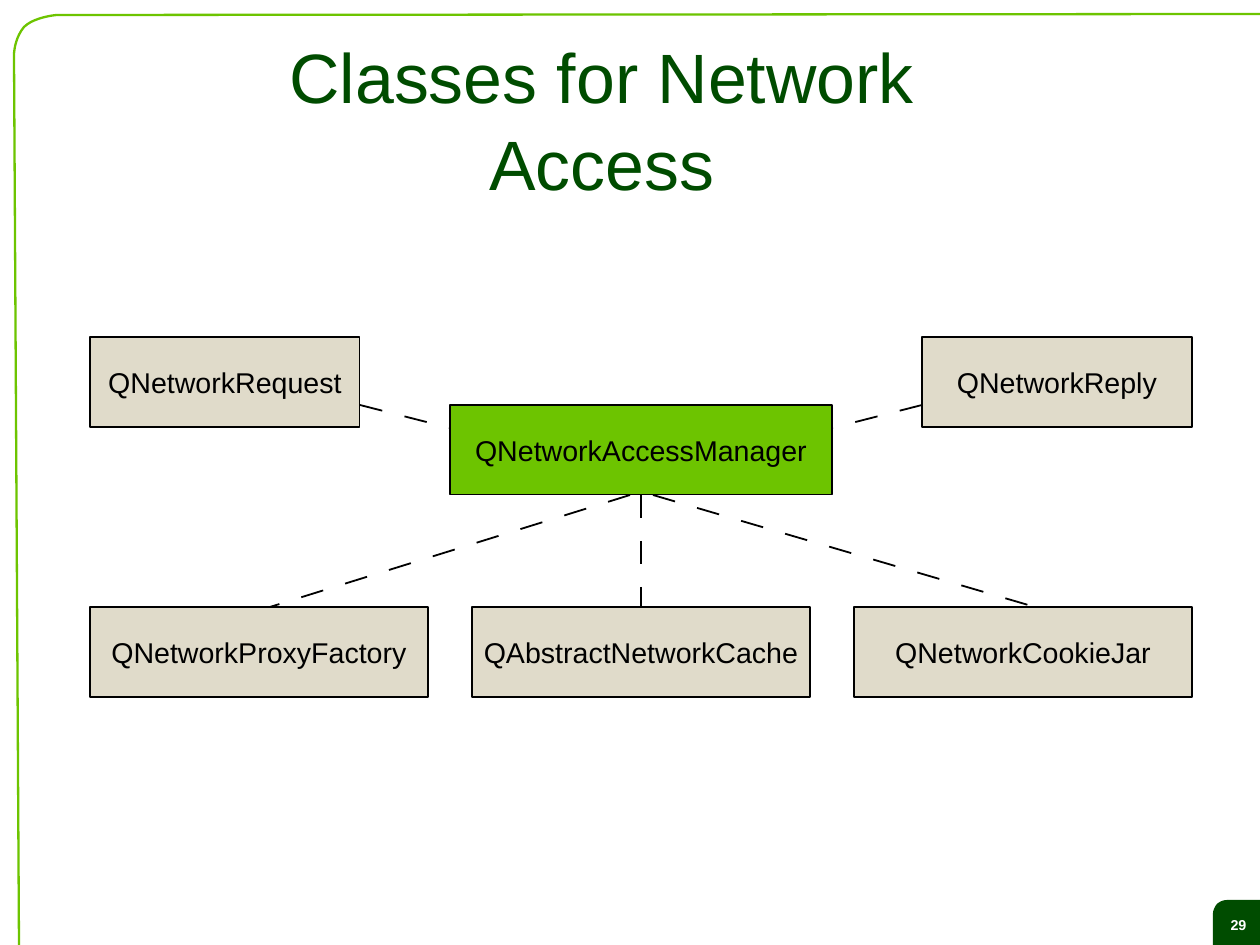
from lxml import etree
from pptx import Presentation
from pptx import util as u
from pptx.dml.color import RGBColor
from pptx.enum import shapes, text
from pptx.oxml.ns import qn

PX = 8000  # EMU in one px
WIDTH, HEIGHT = 1260, 945
COLORS = {"dark": "004C00", "green": "6DC400", "beige": "E0DBCA",
          "black": "000000", "white": "FFFFFF"}
DASH = "1275000"  # dash and gap, in thousandths of a percent of line width


def px(*lengths):
    return [u.Emu(length * PX) for length in lengths]


def color(name):
    return RGBColor.from_string(COLORS[name])


def write(part, words, size, ink="black", bold=False, insets=(11, 6, 11, 6),
          spacing=1.0, wrap=True):
    frame = part.text_frame
    frame.text = words
    frame.word_wrap = wrap
    frame.auto_size = text.MSO_AUTO_SIZE.NONE
    frame.vertical_anchor = text.MSO_ANCHOR.MIDDLE
    (frame.margin_left, frame.margin_top,
     frame.margin_right, frame.margin_bottom) = px(*insets)
    paragraph = frame.paragraphs[0]
    paragraph.alignment = text.PP_ALIGN.CENTER
    paragraph.line_spacing = spacing
    font = paragraph.runs[0].font
    font.name, font.size, font.bold = "Arial", u.Pt(size), bold
    font.color.rgb = color(ink)


def curve(p0, p1, p2, p3, steps=10):
    """Points along a cubic Bezier curve."""
    points = []
    for i in range(steps + 1):
        t = i / steps
        weights = ((1 - t) ** 3, 3 * t * (1 - t) ** 2, 3 * t * t * (1 - t), t ** 3)
        points.append(tuple(sum(w * p[axis] for w, p in zip(weights, (p0, p1, p2, p3)))
                            for axis in (0, 1)))
    return points


def outline(slide, points, close):
    builder = slide.shapes.build_freeform(
        round(points[0][0] * PX), round(points[0][1] * PX))
    builder.add_line_segments(
        [(round(x * PX), round(y * PX)) for x, y in points[1:]], close=close)
    shape = builder.convert_to_shape()
    shape.shadow.inherit = False
    return shape


def add_frame(slide, left, top):
    corner = (curve((left + 43, top + 1), (left + 42, top + 1),
                    (left + 20, top + 3), (left + 10, top + 13))
              + curve((left + 10, top + 13), (left, top + 25),
                      (left, top + 41), (left, top + 41))[1:])
    border = outline(slide, [(WIDTH, top)] + corner + [(left + 5, HEIGHT)], False)
    border.fill.background()
    border.line.color.rgb = color("green")
    border.line.width = u.Pt(1.45)


def add_page_number(slide, left, top, right, bottom):
    corner = (curve((left, top + 14), (left, top + 13),
                    (left, top + 9), (left + 4, top + 4))
              + curve((left + 4, top + 4), (left + 9, top),
                      (left + 12, top), (left + 17, top))[1:])
    badge = outline(slide, corner + [(right, top), (right, bottom), (left, bottom)], True)
    badge.fill.solid()
    badge.fill.fore_color.rgb = color("dark")
    badge.line.fill.background()
    write(badge, "29", 9, "white", True, insets=(13, 8, 9, 4), wrap=False)


def add_title(slide, left, top, width, height):
    title = slide.shapes.title
    title.left, title.top, title.width, title.height = px(left, top, width, height)
    write(title, "Classes for Network Access", 44, "dark",
          insets=(0, 0, 0, 0), spacing=1.05)


def add_class(slide, name, left, top, width, height, fill="beige"):
    box = slide.shapes.add_shape(shapes.MSO_SHAPE.RECTANGLE,
                                 *px(left, top, width, height))
    box.shadow.inherit = False
    box.fill.solid()
    box.fill.fore_color.rgb = color(fill)
    box.line.color.rgb = color("black")
    box.line.width = u.Pt(0)
    write(box, name, 18)
    return box


def add_link(slide, *ends):
    link = slide.shapes.add_connector(shapes.MSO_CONNECTOR.STRAIGHT, *px(*ends))
    link.line.color.rgb = color("black")
    link.line.width = u.Pt(1.13)
    dashes = etree.SubElement(link.line._get_or_add_ln(), qn("a:custDash"))
    etree.SubElement(dashes, qn("a:ds"), d=DASH, sp=DASH)
    etree.SubElement(link._element.spPr, qn("a:effectLst"))
    return link


def add_class_diagram(slide, left, top, width):
    box_height, side_width, manager_width, helper_width = 90, 270, 382, 338
    right, middle = left + width, left + width // 2
    manager_left = middle - manager_width // 2
    manager_top, helper_top = top + 68, top + 270
    manager_bottom = manager_top + box_height

    # Manager with the request and reply beside it
    manager = add_class(slide, "QNetworkAccessManager", manager_left, manager_top,
                        manager_width, box_height, "green")
    add_class(slide, "QNetworkRequest", left, top, side_width, box_height)
    add_class(slide, "QNetworkReply", right - side_width, top, side_width, box_height)

    # Row of helper classes
    pitch = (width - helper_width) // 2
    helpers = [add_class(slide, name, left + i * pitch, helper_top,
                         helper_width, box_height)
               for i, name in enumerate(("QNetworkProxyFactory",
                                         "QAbstractNetworkCache",
                                         "QNetworkCookieJar"))]

    # Dashed links
    add_link(slide, left + side_width, manager_top, manager_left, manager_top + 23)
    add_link(slide, right - side_width, manager_top,
             manager_left + manager_width, manager_top + 23)
    cache_link = add_link(slide, middle, manager_bottom, middle, helper_top)
    cache_link.begin_connect(manager, 2)
    cache_link.end_connect(helpers[1], 0)
    add_link(slide, middle - 11, manager_bottom, left + 180, helper_top)
    add_link(slide, middle + 12, manager_bottom, right - 157, helper_top)


def main():
    deck = Presentation()
    deck.slide_width, deck.slide_height = px(WIDTH, HEIGHT)
    slide = deck.slides.add_slide(deck.slide_layouts[5])
    slide.background.fill.solid()
    slide.background.fill.fore_color.rgb = color("white")
    add_page_number(slide, 1213, 900, WIDTH, HEIGHT)
    add_frame(slide, 14, 14)
    add_title(slide, 192, 38, 820, 158)
    add_class_diagram(slide, 90, 337, 1102)
    deck.save("out.pptx")


if __name__ == "__main__":
    main()
